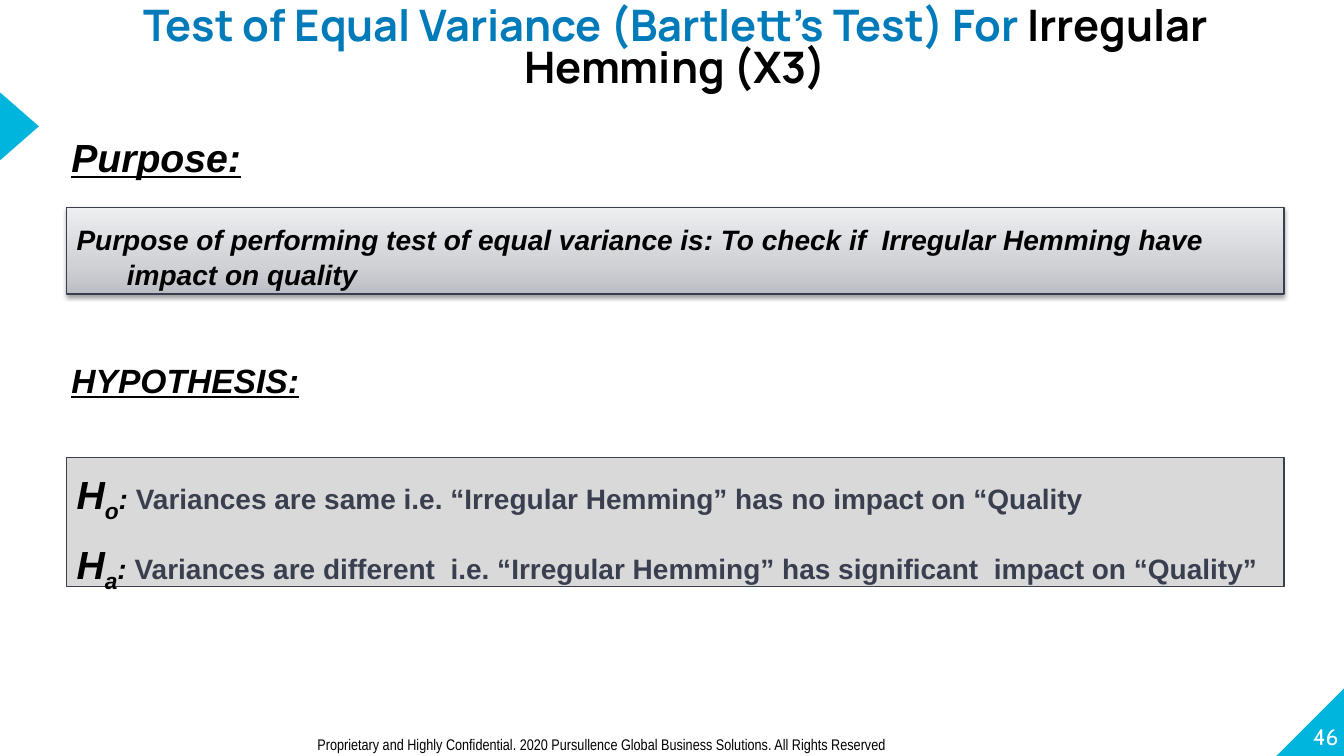
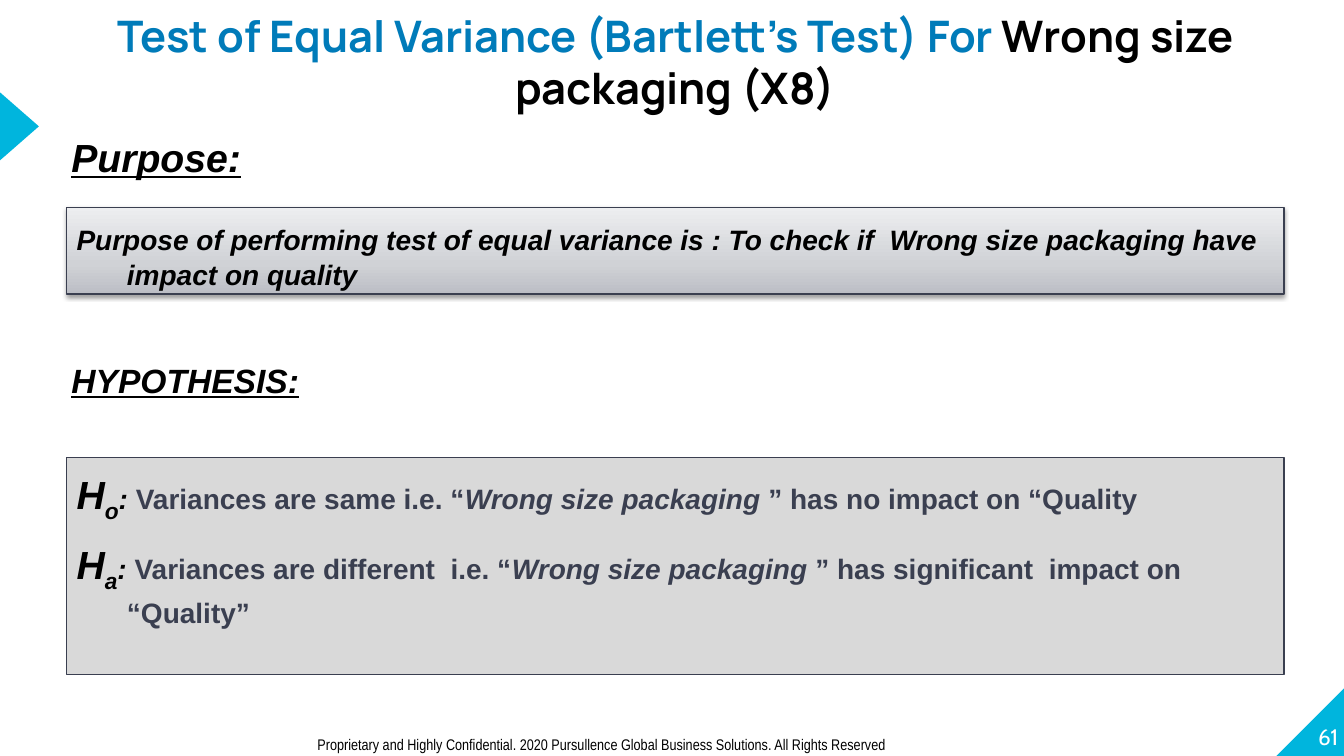
from pptx import Presentation
from pptx.dml.color import RGBColor
from pptx.enum.shapes import MSO_SHAPE
from pptx.enum.text import MSO_ANCHOR, PP_ALIGN
from pptx.oxml import parse_xml
from pptx.oxml.ns import nsdecls, qn
from pptx.util import Cm, Pt
from copy import deepcopy

CYAN = RGBColor(0x00, 0xB5, 0xDD)
BLUE = RGBColor(0x00, 0x7B, 0xB9)
SLATE = RGBColor(0x3A, 0x3F, 0x50)
GRAY = RGBColor(0xD9, 0xD9, 0xD9)
BLACK = RGBColor(0, 0, 0)
WHITE = RGBColor(255, 255, 255)
GRADIENT = [(0, RGBColor(0xBC, 0xBE, 0xC5)), (0.35, RGBColor(0xD0, 0xD2, 0xD6)),
            (1, RGBColor(0xED, 0xEE, 0xF0))]

TITLE = "Test of Equal Variance (Bartlett’s Test) For "
FOOTER = ("Proprietary and Highly Confidential. 2020 Pursullence Global Business Solutions. "
          "All Rights Reserved")
HEADINGS = [("Purpose:", 3.23, 28), ("HYPOTHESIS:", 8.94, 24)]
HYPOTHESES = [
    ("o", "Variances are same i.e. “", "” has no impact on “Quality"),
    ("a", "Variances are different  i.e. “", "” has significant  impact on “Quality”"),
]
SLIDES = [
    dict(number="46", subject="Irregular Hemming (X3)", title_top=0.58, title_spacing=0.8,
         purpose="Purpose of performing test of equal variance is: "
                 "To check if  Irregular Hemming have impact on quality",
         factor="Irregular Hemming", italic=False, height=3.25, right=0.25),
    dict(number="61", subject="Wrong size packaging (X8)", title_top=0.86, title_spacing=1.0,
         purpose="Purpose of performing test of equal variance is : "
                 "To check if  Wrong size packaging have impact on quality",
         factor="Wrong size packaging ", italic=True, height=5.46, right=1.21),
]
PANEL_LEFT, PANEL_WIDTH = 1.68, 30.68
HANG = Cm(1.27)
BODY = dict(font="Arial", size=20, bold=True, italic=True, spacing=1.05, before=10, hanging=True)


def write(tf, paragraphs, font="Arial", size=20, color=BLACK, bold=False, italic=False,
          underline=False, base=0, align=PP_ALIGN.LEFT, spacing=1.0, before=0, hanging=False,
          anchor=MSO_ANCHOR.TOP, margins=(0.25, 0.13, 0.25, 0.13)):
    tf.word_wrap = True
    tf.vertical_anchor = anchor
    tf.margin_left, tf.margin_top, tf.margin_right, tf.margin_bottom = map(Cm, margins)
    shared = dict(font=font, size=size, color=color, bold=bold, italic=italic,
                  underline=underline, base=base)
    for i, runs in enumerate(paragraphs):
        p = tf.add_paragraph() if i else tf.paragraphs[0]
        p.alignment = align
        p.line_spacing = spacing
        p.space_before = Pt(before if i else 0)
        if hanging:
            pPr = p._p.get_or_add_pPr()
            pPr.set("marL", str(HANG))
            pPr.set("indent", str(-HANG))
        for text, own in runs:
            look = shared | own
            r = p.add_run()
            r.text = text
            f = r.font
            f.name, f.size, f.bold = look["font"], Pt(look["size"]), look["bold"]
            f.italic, f.underline = look["italic"], look["underline"]
            f.color.rgb = look["color"]
            if look["base"]:
                r._r.get_or_add_rPr().set("baseline", str(look["base"] * 1000))


def add_text(s, box, runs, **fmt):
    write(s.shapes.add_textbox(*map(Cm, box)).text_frame, [runs], **fmt)


def add_shape(s, kind, box, fill=None, line=None):
    sp = s.shapes.add_shape(kind, *map(Cm, box))
    sp.shadow.inherit = False
    if fill is not None:
        sp.fill.solid()
        sp.fill.fore_color.rgb = fill
    if line is None:
        sp.line.fill.background()
    else:
        sp.line.color.rgb = line
        sp.line.width = Pt(0.75)
    return sp


def add_gradient_and_shadow(sp):
    sp.fill.gradient()
    sp.fill.gradient_angle = 90
    spPr = sp._element.spPr
    stops = spPr.find(qn("a:gradFill")).find(qn("a:gsLst"))
    stops.append(deepcopy(stops[-1]))
    for stop, (position, color) in zip(sp.fill.gradient_stops, GRADIENT):
        stop.position = position
        stop.color.rgb = color
    spPr.find(qn("a:effectLst")).append(parse_xml(
        f'<a:outerShdw {nsdecls("a")} blurRad="40000" dist="20000" dir="5400000" rotWithShape="0">'
        '<a:srgbClr val="000000"><a:alpha val="38000"/></a:srgbClr></a:outerShdw>'))


def add_frame(s, number):
    corner = add_shape(s, MSO_SHAPE.RIGHT_TRIANGLE, (32.17, 17.32, 1.73, 1.73), CYAN)
    corner._element.spPr.find(qn("a:xfrm")).set("flipH", "1")
    marker = add_shape(s, MSO_SHAPE.ISOSCELES_TRIANGLE, (-0.38, 2.69, 1.73, 0.99), CYAN)
    marker.rotation = 90
    add_text(s, (32.03, 17.17, 1.7, 1.73), [(number, {})], font="Cabin", size=16, color=WHITE,
             align=PP_ALIGN.RIGHT, anchor=MSO_ANCHOR.BOTTOM, margins=(0, 0, 0, 0))
    add_text(s, (7.75, 18.39, 21.62, 0.74), [(FOOTER, {})], font="Arial Narrow", size=11)


def hypothesis(letter, start, end, factor, italic):
    plain = dict(color=SLATE, italic=False)
    return [("H", dict(size=28)), (letter, dict(size=28, base=-25)), (": ", {}),
            (start, plain), (factor, plain | dict(italic=italic)), (end, plain)]


def build_slide(prs, d):
    s = prs.slides.add_slide(prs.slide_layouts[6])
    add_frame(s, d["number"])
    add_text(s, (2.95, d["title_top"], 28.14, 1.37), [(TITLE, {}), (d["subject"], dict(color=BLACK))],
             font="Manrope", size=31, color=BLUE, bold=True, align=PP_ALIGN.CENTER,
             spacing=d["title_spacing"], anchor=MSO_ANCHOR.MIDDLE, margins=(0, 0, 0, 0))
    for text, top, size in HEADINGS:
        add_text(s, (1.55, top, 13.54, 1.4), [(text, {})], size=size, bold=True, italic=True,
                 underline=True)

    purpose = add_shape(s, MSO_SHAPE.RECTANGLE, (PANEL_LEFT, 5.23, PANEL_WIDTH, 2.18), line=SLATE)
    add_gradient_and_shadow(purpose)
    write(purpose.text_frame, [[(d["purpose"], {})]], margins=(0.25, 0.33, 0.25, 0), **BODY)

    panel = add_shape(s, MSO_SHAPE.RECTANGLE, (PANEL_LEFT, 11.53, PANEL_WIDTH, d["height"]),
                      GRAY, SLATE)
    write(panel.text_frame, [hypothesis(*h, d["factor"], d["italic"]) for h in HYPOTHESES],
          margins=(0.25, 0.26, d["right"], 0), **BODY)


def main():
    prs = Presentation()
    prs.slide_width, prs.slide_height = Cm(33.87), Cm(19.05)
    for d in SLIDES:
        build_slide(prs, d)
    prs.save("out.pptx")


if __name__ == "__main__":
    main()
